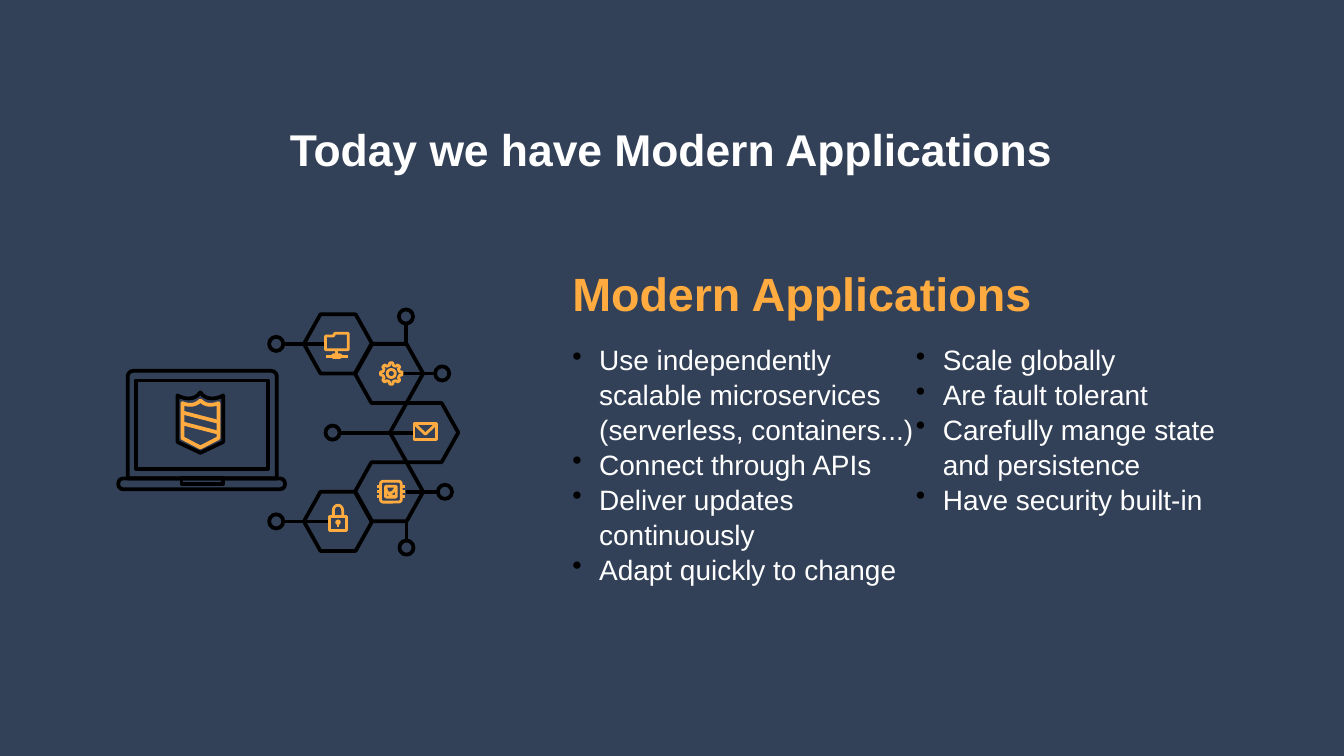
from math import cos, sin, hypot, radians
from lxml.etree import SubElement
from pptx import Presentation
from pptx.dml.color import RGBColor
from pptx.enum.shapes import MSO_CONNECTOR, MSO_SHAPE
from pptx.enum.text import PP_ALIGN
from pptx.oxml.ns import qn
from pptx.util import Pt

NAVY, WHITE, ORANGE, BLACK = "324158", "FFFFFF", "FFAB40", "000000"
BULLETS = [
    "Use independently scalable microservices (serverless, containers...)",
    "Connect through APIs",
    "Deliver updates continuously",
    "Adapt quickly to change",
    "Scale globally",
    "Are fault tolerant",
    "Carefully mange state\vand persistence",
    "Have security built-in",
]


def rgb(color):
    return RGBColor.from_string(color)


def outline(sp, color, width):
    sp.fill.background()
    sp.shadow.inherit = False
    sp.line.color.rgb = rgb(color)
    sp.line.width = Pt(width)


def shape(g, kind, x, y, w, h, color=BLACK, width=2, adj=None):
    sp = g.add_shape(kind, Pt(x), Pt(y), Pt(w), Pt(h))
    outline(sp, color, width)
    if adj is not None:
        sp.adjustments[0] = adj


def path(g, points, color=ORANGE, width=1.5, close=True):
    pts = [(Pt(x), Pt(y)) for x, y in points]
    fb = g.build_freeform(*pts[0])
    fb.add_line_segments(pts[1:], close=close)
    outline(fb.convert_to_shape(), color, width)


def line(g, x1, y1, x2, y2, color=ORANGE, width=1.5):
    c = g.add_connector(MSO_CONNECTOR.STRAIGHT, Pt(x1), Pt(y1), Pt(x2), Pt(y2))
    c.line.color.rgb = rgb(color)
    c.line.width = Pt(width)
    SubElement(c._element.spPr, qn("a:effectLst"))


def curve(a, b, c, d, steps=10):
    def at(t):
        u = 1 - t
        return tuple(u**3 * i + 3 * u * u * t * j + 3 * u * t * t * k + t**3 * m
                     for i, j, k, m in zip(a, b, c, d))
    return [at(n / steps) for n in range(steps + 1)]


def text(s, x, y, w, h, lines, size, color, bold=False):
    tf = s.shapes.add_textbox(Pt(x), Pt(y), Pt(w), Pt(h)).text_frame
    tf.word_wrap = True
    for i, t in enumerate(lines):
        p = tf.paragraphs[0] if i == 0 else tf.add_paragraph()
        p.text = t
        for r in p.runs:
            r.font.name = "Arial"
            r.font.size = Pt(size)
            r.font.bold = bold
            r.font.color.rgb = rgb(color)
    return tf


def title(s, x, y, w, h):
    tf = text(s, x, y, w, h, ["Today we have Modern Applications"], 23.8, WHITE, True)
    tf.margin_left = tf.margin_right = Pt(4.5)
    tf.margin_top = tf.margin_bottom = Pt(2.25)
    tf.paragraphs[0].alignment = PP_ALIGN.CENTER


def bullet_list(s, x, y, w, h):
    tf = text(s, x, y, w, h, BULLETS, 15, WHITE)
    tf._txBody.bodyPr.set("numCol", "2")
    for p in tf.paragraphs:
        p.line_spacing = 1.04
        pPr = p._p.get_or_add_pPr()
        pPr.set("marL", str(Pt(14.4)))
        pPr.set("indent", str(Pt(-14.4)))
        SubElement(SubElement(pPr, qn("a:buClr")), qn("a:srgbClr")).set("val", BLACK)
        SubElement(pPr, qn("a:buChar")).set("char", "•")


def shield(g, x, y):
    def crest(left, color):
        right = [(24.5 - px, py) for px, py in reversed(left)]
        path(g, [(x + px, y + py) for px, py in left + right], color, 2)

    for top in (10.8, 16.6):
        line(g, x + 2.6, y + top, x + 21.9, y + top + 5, ORANGE, 2)
    crest([(12.25, 32.4), (0, 26.6)]
          + curve((0, 1.6), (-0.7, 1.4), (7.9, 6.5), (12.25, 0)), BLACK)
    crest([(12.25, 29.5), (2.6, 24.5)]
          + curve((2.6, 5.8), (2.6, 5.8), (8.6, 8.6), (12.25, 4.3)), ORANGE)


def laptop(g, x, y):
    shield(g, x + 31.7, y + 11.5)
    shape(g, MSO_SHAPE.ROUND_2_SAME_RECTANGLE, x + 5, y, 79.9, 57.6, adj=0.05)
    shape(g, MSO_SHAPE.ROUNDED_RECTANGLE, x, y + 57.6, 89.3, 5.8, adj=0.45)
    shape(g, MSO_SHAPE.RECTANGLE, x + 9.4, y + 5.1, 70.6, 47.5)
    shape(g, MSO_SHAPE.RECTANGLE, x + 33.8, y + 57.6, 22.3, 2.9)


def node(g, cx, cy, tx, ty, r=3.8):
    d = hypot(tx - cx, ty - cy)
    line(g, cx + r * (tx - cx) / d, cy + r * (ty - cy) / d, tx, ty, BLACK, 2)
    shape(g, MSO_SHAPE.OVAL, cx - r, cy - r, 2 * r, 2 * r)


def folder(g, x, y):
    path(g, [(x + 5, y), (x + 4.3, y + 1.4), (x, y + 1.4), (x, y + 8.8),
             (x + 12.2, y + 8.8), (x + 12.2, y)])
    line(g, x + 6, y + 8.8, x + 6, y + 11.5)
    shape(g, MSO_SHAPE.ROUNDED_RECTANGLE, x + 3.7, y + 11.5, 4.6, 1.4, ORANGE, 1.5, 0.5)
    for left in (x, x + 8.3):
        line(g, left, y + 12.2, left + 3.7, y + 12.2)


def gear(g, cx, cy):
    shape(g, MSO_SHAPE.OVAL, cx - 2.2, cy - 2.2, 4.4, 4.4, ORANGE, 1.5)
    tooth = [(4.5, -13), (5.8, -8), (5.8, 8), (4.5, 13)]
    path(g, [(cx + r * cos(radians(a + turn)), cy + r * sin(radians(a + turn)))
             for turn in range(0, 360, 45) for r, a in tooth])


def envelope(g, x, y):
    shape(g, MSO_SHAPE.RECTANGLE, x, y, 12.2, 8.6, ORANGE, 1.5)
    path(g, [(x, y), (x + 6.1, y + 5.8), (x + 12.2, y)], close=False)


def chip(g, x, y):
    shape(g, MSO_SHAPE.ROUNDED_RECTANGLE, x, y, 11.2, 11.2, ORANGE, 1.5, 0.13)
    shape(g, MSO_SHAPE.ROUNDED_RECTANGLE, x + 2.7, y + 2.7, 5.8, 5.8, ORANGE, 1.5, 0.1)
    for left in (x - 1.9, x + 11.2):
        for row in (2.8, 5.6, 8.4):
            line(g, left, y + row, left + 1.9, y + row)
    path(g, curve((x + 2.9, y + 2.8), (x + 2.9, y + 5.6), (x + 5, y + 8.2),
                  (x + 8, y + 8.2)), close=False)
    path(g, curve((x + 4.3, y + 6.4), (x + 6.4, y + 6.4), (x + 8, y + 5),
                  (x + 8, y + 2.8)), close=False)


def lock(g, x, y):
    shape(g, MSO_SHAPE.RECTANGLE, x, y + 5.8, 9.4, 7.9, ORANGE, 1.5)
    path(g, [(x + 2.2, y + 5.8)]
         + curve((x + 2.2, y + 2.9), (x + 2.2, y - 1), (x + 7.2, y - 1), (x + 7.2, y + 2.9))
         + [(x + 7.2, y + 5.8)], close=False)
    shape(g, MSO_SHAPE.OVAL, x + 4, y + 8.4, 1.4, 1.4, ORANGE, 1.5)
    line(g, x + 4.7, y + 9.8, x + 4.7, y + 11.5)


def network(g, x, y):
    w, h = 36.6, 31.7
    mid = y + 66.2
    for cx, row in ((117.7, -1.5), (145, -1), (163.8, 0), (145, 1), (117.7, 1.5)):
        shape(g, MSO_SHAPE.HEXAGON, x + cx - w / 2, mid + (row - 0.5) * h, w, h, adj=0.28)
    nodes = [(84.6, -1.5 * h, 111, -1.5 * h), (173.5, -h, 152, -h),
             (154.1, -62.2, 154.1, -1.5 * h), (114.8, 0, 158.4, 0),
             (175, h, 154.1, h), (154.4, 61.6, 154.4, 1.5 * h),
             (84.6, 1.5 * h, 112.5, 1.5 * h)]
    for cx, cy, tx, ty in nodes:
        node(g, x + cx, mid + cy, x + tx, mid + ty)
    folder(g, x + 111, y + 13)
    gear(g, x + 146.2, mid - h)
    envelope(g, x + 158.4, y + 61.2)
    chip(g, x + 140.4, y + 92.2)
    lock(g, x + 113, y + 105.1)


def illustration(s, x, y):
    g = s.shapes.add_group_shape().shapes
    network(g, x, y)
    laptop(g, x, y + 33.1)


def main():
    prs = Presentation()
    prs.slide_width, prs.slide_height = Pt(720), Pt(405)
    s = prs.slides.add_slide(prs.slide_layouts[6])
    s.background.fill.solid()
    s.background.fill.fore_color.rgb = rgb(NAVY)
    title(s, 26.6, 63.4, 665.3, 44.6)
    text(s, 299.5, 138.2, 362.2, 44.6, ["Modern Applications"], 25, ORANGE, True)
    bullet_list(s, 299.5, 179.3, 382.3, 149.8)
    illustration(s, 63.4, 165.6)
    prs.save("out.pptx")


if __name__ == "__main__":
    main()
